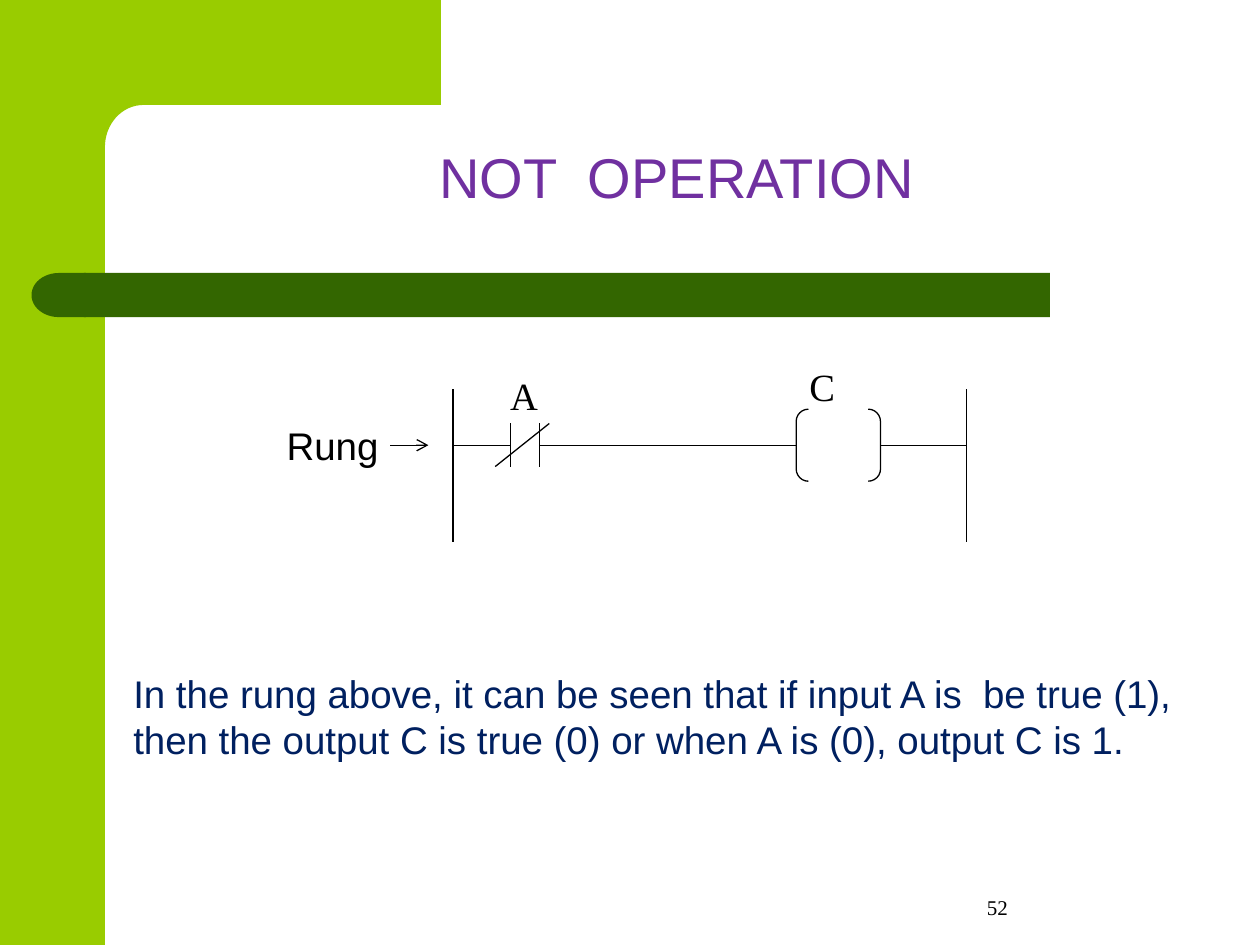
from math import cos, sin, pi
from lxml.etree import SubElement as Sub
from pptx import Presentation as Deck
from pptx.dml.color import RGBColor as Rgb
from pptx.enum.shapes import MSO_CONNECTOR as Conn, MSO_SHAPE as Kind
from pptx.enum.text import MSO_ANCHOR as Anchor, MSO_AUTO_SIZE as Auto, PP_ALIGN as Align
from pptx.oxml.ns import qn
from pptx.util import Pt

HUES = {"lime": "99CC00", "green": "336600", "plum": "7030A0",
        "navy": "002060", "black": "000000"}


class Pen:
    sans, serif = "Arial", "Times New Roman"
    thin = 0.75

    def __init__(self, slide):
        self.slide = slide
        self.items = slide.shapes

    def hue(self, name):
        return Rgb.from_string(HUES[name])

    def paint(self, item, fill=None):
        item.shadow.inherit = False
        if fill:
            item.fill.solid()
            item.fill.fore_color.rgb = self.hue(fill)
            item.line.fill.background()
        else:
            item.fill.background()
            self.ink(item)

    def ink(self, item):
        item.line.width = Pt(self.thin)
        item.line.color.rgb = self.hue("black")

    def shape(self, kind, box, fill=None, adj=None, turn=0):
        item = self.items.add_shape(kind, *map(Pt, box))
        self.paint(item, fill)
        item.rotation = turn
        if adj is not None:
            item.adjustments[0] = adj

    def form(self, dots, fill):
        start, *rest = [(Pt(x), Pt(y)) for x, y in dots]
        path = self.items.build_freeform(*start, scale=1.0)
        path.add_line_segments(rest, close=True)
        self.paint(path.convert_to_shape(), fill)

    def line(self, x1, y1, x2, y2, arrow=False):
        item = self.items.add_connector(Conn.STRAIGHT, *map(Pt, (x1, y1, x2, y2)))
        self.ink(item)
        if arrow:
            Sub(item.line._get_or_add_ln(), qn("a:tailEnd"), type="arrow")
        Sub(item._element.spPr, qn("a:effectLst"))

    def text(self, box, rows, size, font, hue="black", align=Align.LEFT, **frame):
        body = self.items.add_textbox(*map(Pt, box)).text_frame
        look = {"word_wrap": False, "auto_size": Auto.SHAPE_TO_FIT_TEXT} | frame
        for key, val in look.items():
            setattr(body, key, val)
        for num, row in enumerate(rows):
            para = body.add_paragraph() if num else body.paragraphs[0]
            para.alignment = align
            run = para.add_run()
            run.text = row
            for key, val in {"size": Pt(size), "name": font}.items():
                setattr(run.font, key, val)
            run.font.color.rgb = self.hue(hue)


def frame(pen):
    pen.shape(Kind.RECTANGLE, (0, 0, 60, 540), "lime")
    steps = 16
    turns = [pi / 2 * n / steps for n in range(steps + 1)]
    curve = [(82 - 22 * sin(t), 84 - 24 * cos(t)) for t in turns]
    pen.form([(36, 0), (252, 0), (252, 60), *curve, (60, 92), (36, 92)], "lime")
    pen.shape(Kind.ROUNDED_RECTANGLE, (48, 156, 552, 25.2), "green", adj=0)
    pen.shape(Kind.FLOWCHART_DELAY, (18, 156, 31, 25.2), "green", turn=180)


def rung(pen):
    left, right, mid = 258.8, 552.2, 254.4
    near, far = 291.6, 308.2
    coil, wide = 455, 48.2
    top, foot = 242, 266.6
    for x in (left, right):
        pen.line(x, 222.5, x, 309.6)
    for x in (near, far):
        pen.line(x, top, x, foot)
    for x1, x2 in ((left, near), (far, coil), (coil + wide, right)):
        pen.line(x1, mid, x2, mid)
    pen.line(283, foot, 313.9, top)
    pen.shape(Kind.DOUBLE_BRACKET, (coil, 233.8, wide, 41.2), adj=0.17)
    pen.line(223, mid, 244.8, mid, arrow=True)
    pen.text((156.7, 237.6, 67, 33.8), ["Rung"], 22, pen.sans)
    pen.text((284.4, 208.8, 30.2, 33.8), ["A"], 22, pen.serif)
    pen.text((455.4, 204, 28.8, 33.8), ["C"], 22, pen.serif)


def main():
    deck = Deck()
    deck.slide_width, deck.slide_height = Pt(720), Pt(540)
    pen = Pen(deck.slides.add_slide(deck.slide_layouts[6]))
    frame(pen)
    pen.text((455.8, 491.8, 228.2, 37.4), ["52"], 12, pen.serif, align=Align.CENTER,
             word_wrap=True, auto_size=Auto.NONE, vertical_anchor=Anchor.BOTTOM)
    pen.text((244.1, 77.8, 288.7, 46.1), ["NOT  OPERATION"], 32, pen.sans, "plum")
    pen.text((69.1, 379.4, 609.8, 60.5),
             ["In the rung above, it can be seen that if input A is  be true (1),",
              "then the output C is true (0) or when A is (0), output C is 1."],
             22, pen.sans, "navy")
    rung(pen)
    deck.save("out.pptx")


if __name__ == "__main__":
    main()
